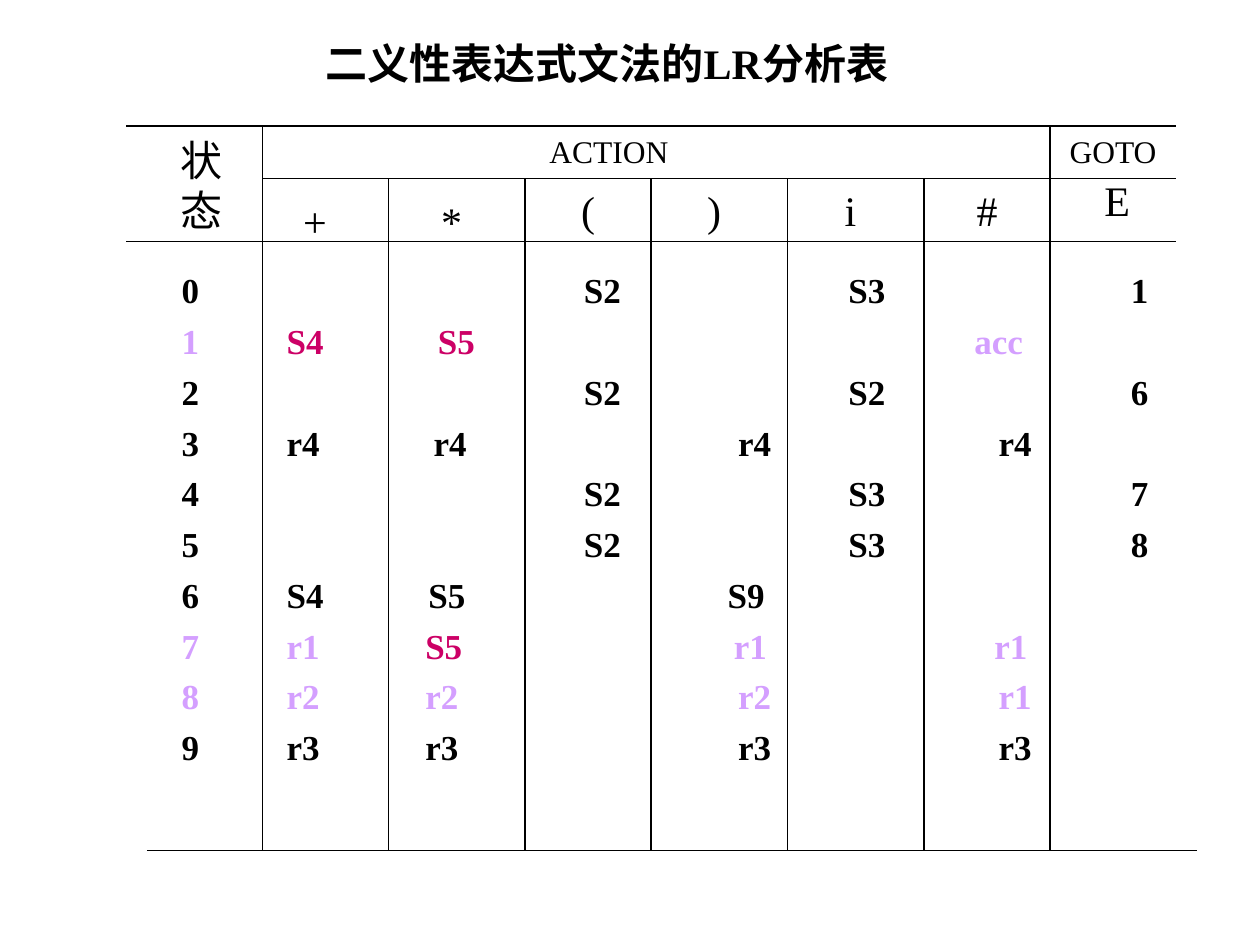
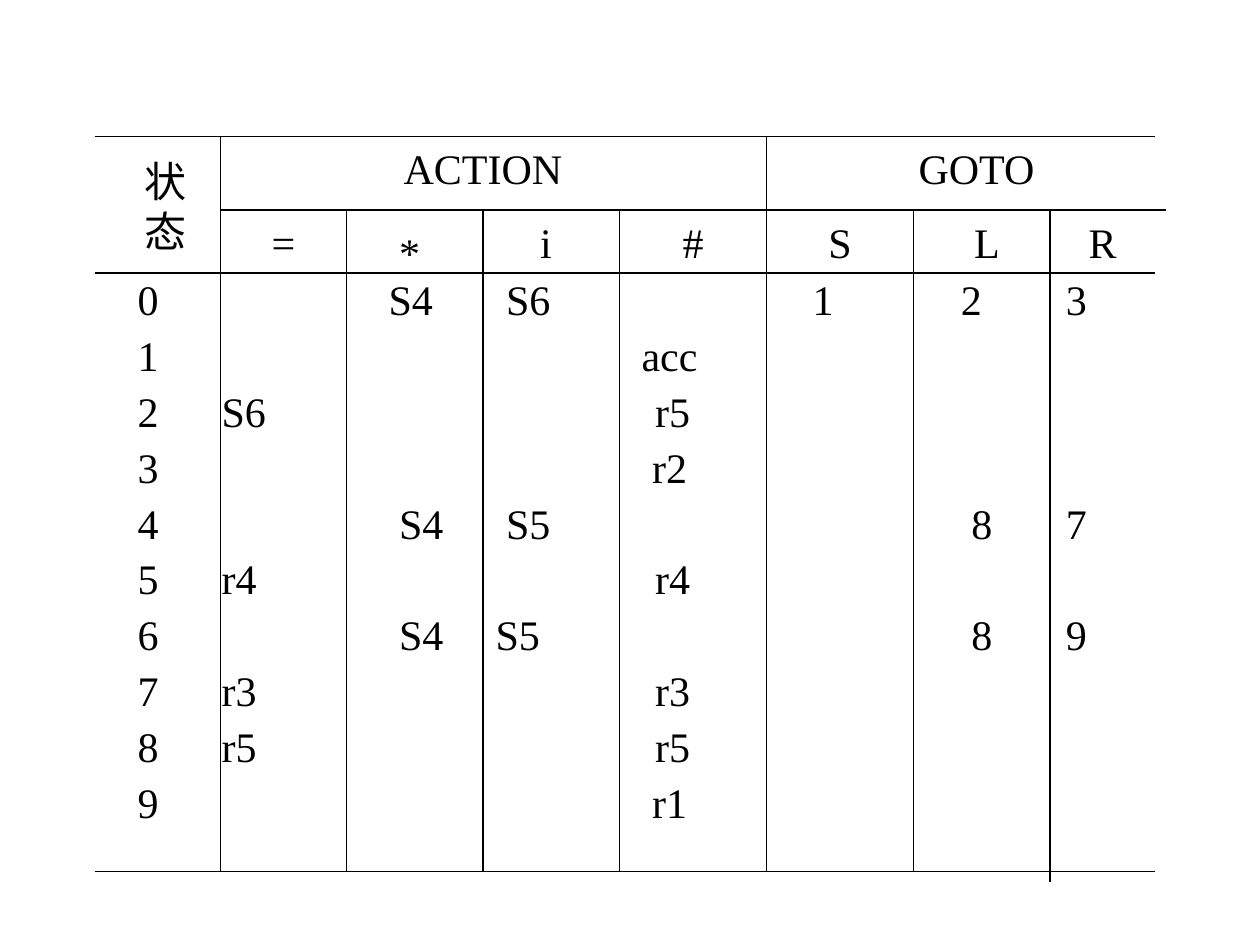
from dataclasses import dataclass, field

from lxml.etree import SubElement
from pptx import Presentation
from pptx.dml.color import RGBColor
from pptx.enum.shapes import MSO_CONNECTOR
from pptx.enum.text import MSO_ANCHOR, MSO_AUTO_SIZE, PP_ALIGN
from pptx.oxml.ns import qn
from pptx.util import Emu, Inches, Pt

COLORS = {"ink": "000000", "muted": "D49FFF", "conflict": "CC0066"}
FONT = "Times New Roman"

# The slide is a grid of 120 columns and 90 rows
COLUMNS, ROWS = 120, 90
WIDTH, HEIGHT = Inches(10), Inches(7.5)
INSET = 1.2  # side margin of the text in a body, in columns


@dataclass(frozen=True)
class Rule:
    x1: float
    y1: float
    x2: float
    y2: float


@dataclass(frozen=True)
class Heading:
    text: str
    center: float
    top: float
    width: float = 4.5
    height: float = 6
    size: int = 24


@dataclass(frozen=True)
class ParseTable:
    title: str
    rules: list[Rule]
    headings: list[Heading]
    body: tuple[float, float, float, float]
    stops: tuple[float, ...]  # where the text of each column starts
    rows: tuple[str, ...]  # one cell per column, split at "|"
    size: int
    gap: float
    line_spacing: float = 1.0
    bold: bool = False
    tones: dict[tuple[int, int], str] = field(default_factory=dict)  # (row, column)
    shifts: dict[tuple[int, int], float] = field(default_factory=dict)


def across(columns: float) -> Emu:
    return Emu(round(WIDTH * columns / COLUMNS))


def down(rows: float) -> Emu:
    return Emu(round(HEIGHT * rows / ROWS))


def place(shape, left: float, top: float, width: float, height: float) -> None:
    shape.left, shape.top = across(left), down(top)
    shape.width, shape.height = across(width), down(height)


def style_run(run, size: int, tone: str = "ink", bold: bool = False) -> None:
    run.font.name = FONT
    run.font.size = Pt(size)
    run.font.bold = bold
    run.font.color.rgb = RGBColor.from_string(COLORS[tone])


def center_text(frame, text: str, size: int, bold: bool = False) -> None:
    frame.text = text
    frame.word_wrap = False
    frame.auto_size = MSO_AUTO_SIZE.NONE
    frame.vertical_anchor = MSO_ANCHOR.MIDDLE
    for paragraph in frame.paragraphs:
        paragraph.alignment = PP_ALIGN.CENTER
        for run in paragraph.runs:
            style_run(run, size, bold=bold)


def draw_rule(slide, rule: Rule) -> None:
    line = slide.shapes.add_connector(
        MSO_CONNECTOR.STRAIGHT,
        across(rule.x1), down(rule.y1), across(rule.x2), down(rule.y2))
    line.line.color.rgb = RGBColor.from_string(COLORS["ink"])
    line.line.width = Pt(0.75)
    SubElement(line._element.spPr, qn("a:effectLst"))


def draw_heading(slide, heading: Heading) -> None:
    box = slide.shapes.add_textbox(
        across(heading.center - heading.width / 2), down(heading.top),
        across(heading.width), down(heading.height))
    center_text(box.text_frame, heading.text, heading.size)


def clear_master_indent(deck) -> None:
    """Remove the hanging indent of body text, which overrides tab stops."""
    body_style = deck.slide_master._element.find(".//" + qn("p:bodyStyle"))
    first_level = body_style.find(qn("a:lvl1pPr"))
    first_level.set("marL", "0")
    first_level.attrib.pop("indent", None)


def set_tabs(paragraph, stops: list[float]) -> None:
    """Drop the bullet and margin, and put a left tab at each stop."""
    properties = paragraph._p.get_or_add_pPr()
    properties.set("marL", "0")
    SubElement(properties, qn("a:buNone"))
    tabs = SubElement(properties, qn("a:tabLst"))
    for stop in stops:
        SubElement(tabs, qn("a:tab"), pos=str(across(stop)), algn="l")


def fill_body(shape, table: ParseTable) -> None:
    place(shape, *table.body)
    frame = shape.text_frame
    frame.word_wrap = True
    frame.auto_size = MSO_AUTO_SIZE.NONE
    frame.vertical_anchor = MSO_ANCHOR.TOP
    frame.margin_left = frame.margin_right = across(INSET)
    frame.margin_top = Inches(0.05)
    origin = table.body[0] + INSET
    for state, row in enumerate(table.rows):
        cells = [(col, text) for col, text in enumerate(row.split("|")) if text]
        paragraph = frame.paragraphs[0] if state == 0 else frame.add_paragraph()
        set_tabs(paragraph, [
            table.stops[col] + table.shifts.get((state, col), 0) - origin
            for col, _ in cells])
        paragraph.alignment = PP_ALIGN.LEFT
        paragraph.line_spacing = table.line_spacing
        paragraph.space_before = Pt(table.gap if state else 0)
        for col, text in cells:
            run = paragraph.add_run()
            run.text = "\t" + text
            style_run(run, table.size, table.tones.get((state, col), "ink"), table.bold)


def add_table_slide(deck, table: ParseTable) -> None:
    slide = deck.slides.add_slide(deck.slide_layouts[1])
    title, body = slide.placeholders
    if table.title:
        place(title, 28.8, 3, 58, 6)
        center_text(title.text_frame, table.title, 24, bold=True)
    else:
        title._element.getparent().remove(title._element)
    fill_body(body, table)
    for rule in table.rules:
        draw_rule(slide, rule)
    for heading in table.headings:
        draw_heading(slide, heading)


def verticals(edges: tuple[int, ...], top: int, bottom: int) -> list[Rule]:
    return [Rule(x, top, x, bottom) for x in edges]


# Grammar of ambiguous expressions
EXPRESSIONS = ParseTable(
    title="二义性表达式文法的LR分析表",
    rules=[
        *verticals((25, 100), 12, 81),
        *verticals((37, 50, 62, 75, 88), 17, 81),
        Rule(12, 12, 112, 12),
        Rule(25, 17, 112, 17),
        Rule(12, 23, 112, 23),
        Rule(14, 81, 114, 81),
    ],
    headings=[
        Heading("状\n态", 19.2, 12.2, 6.4, 10.8),
        Heading("ACTION", 58, 12, 13.7, 4.8, 18),
        Heading("GOTO", 106, 12, 10.7, 4.8, 18),
        Heading("+", 30, 18),
        Heading("*", 43, 18),
        Heading("(", 56, 17),
        Heading(")", 68, 17),
        Heading("i", 81, 17),
        Heading("#", 94, 17),
        Heading("E", 106.4, 16),
    ],
    body=(12, 25, 111, 54),
    stops=(17.3, 27.3, 40.5, 55.6, 70.3, 80.8, 95.1, 107.7),
    rows=(
        "0|||S2||S3||1",
        "1|S4|S5||||acc",
        "2|||S2||S2||6",
        "3|r4|r4||r4||r4",
        "4|||S2||S3||7",
        "5|||S2||S3||8",
        "6|S4|S5||S9",
        "7|r1|S5||r1||r1",
        "8|r2|r2||r2||r1",
        "9|r3|r3||r3||r3",
    ),
    size=20,
    gap=5,
    bold=True,
    tones={
        **{(state, col): "muted" for state in (1, 7, 8) for col in range(8)},
        **{cell: "conflict" for cell in ((1, 1), (1, 2), (7, 2))},
    },
    shifts={(1, 2): 1.2, (1, 6): -2.3, (3, 2): 0.8, (6, 2): 0.3,
            (6, 4): -1, (7, 4): -0.4, (7, 6): -0.4},
)

# Grammar of assignments
ASSIGNMENTS = ParseTable(
    title="",
    rules=[
        *verticals((21, 73), 13, 83),
        *verticals((33, 46, 59, 87), 20, 83),
        Rule(100, 20, 100, 84),
        *[Rule(9, y, 110, y) for y in (13, 26, 83)],
        Rule(21, 20, 111, 20),
    ],
    headings=[
        Heading("状\n态", 15.8, 14.2, 6.4, 10.8),
        Heading("ACTION", 46, 13, 17.5),
        Heading("GOTO", 93, 13, 13.4),
        Heading("=", 27, 20),
        Heading("*", 39, 21),
        Heading("i", 52, 20),
        Heading("#", 66, 20),
        Heading("S", 80, 20),
        Heading("L", 94, 20),
        Heading("R", 105, 20),
    ],
    body=(10, 26, 102, 54),
    stops=(13.1, 21.1, 38, 48.2, 62.4, 77.4, 92.5, 101.5),
    rows=(
        "0||S4|S6||1|2|3",
        "1||||acc",
        "2|S6|||r5",
        "3||||r2",
        "4||S4|S5|||8|7",
        "5|r4|||r4",
        "6||S4|S5|||8|9",
        "7|r3|||r3",
        "8|r5|||r5",
        "9||||r1",
    ),
    size=24,
    gap=6,
    line_spacing=0.9,
    shifts={(0, 2): -1, (0, 6): -1, (1, 4): -1.3,
            (3, 4): -0.3, (6, 3): -1, (9, 4): -0.3},
)


def main() -> None:
    deck = Presentation()
    deck.slide_width, deck.slide_height = WIDTH, HEIGHT
    clear_master_indent(deck)
    for table in (EXPRESSIONS, ASSIGNMENTS):
        add_table_slide(deck, table)
    deck.save("out.pptx")


if __name__ == "__main__":
    main()
